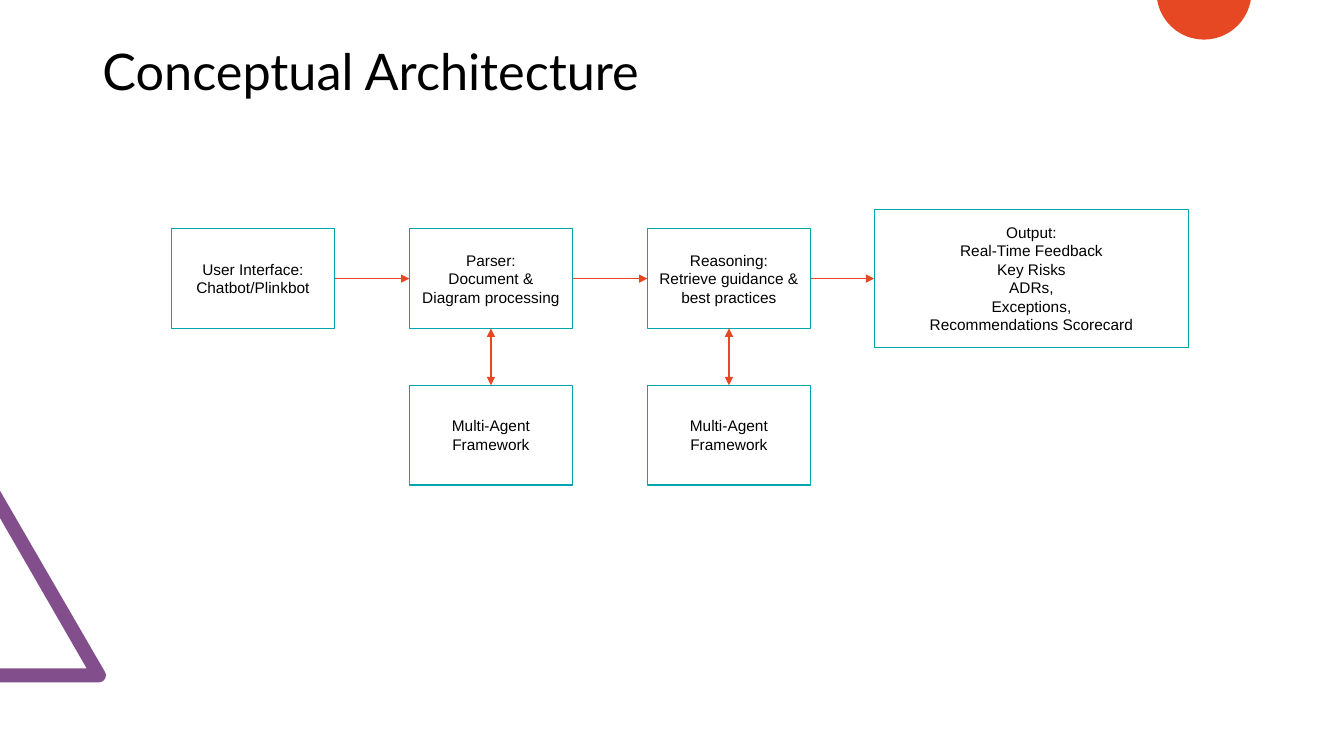
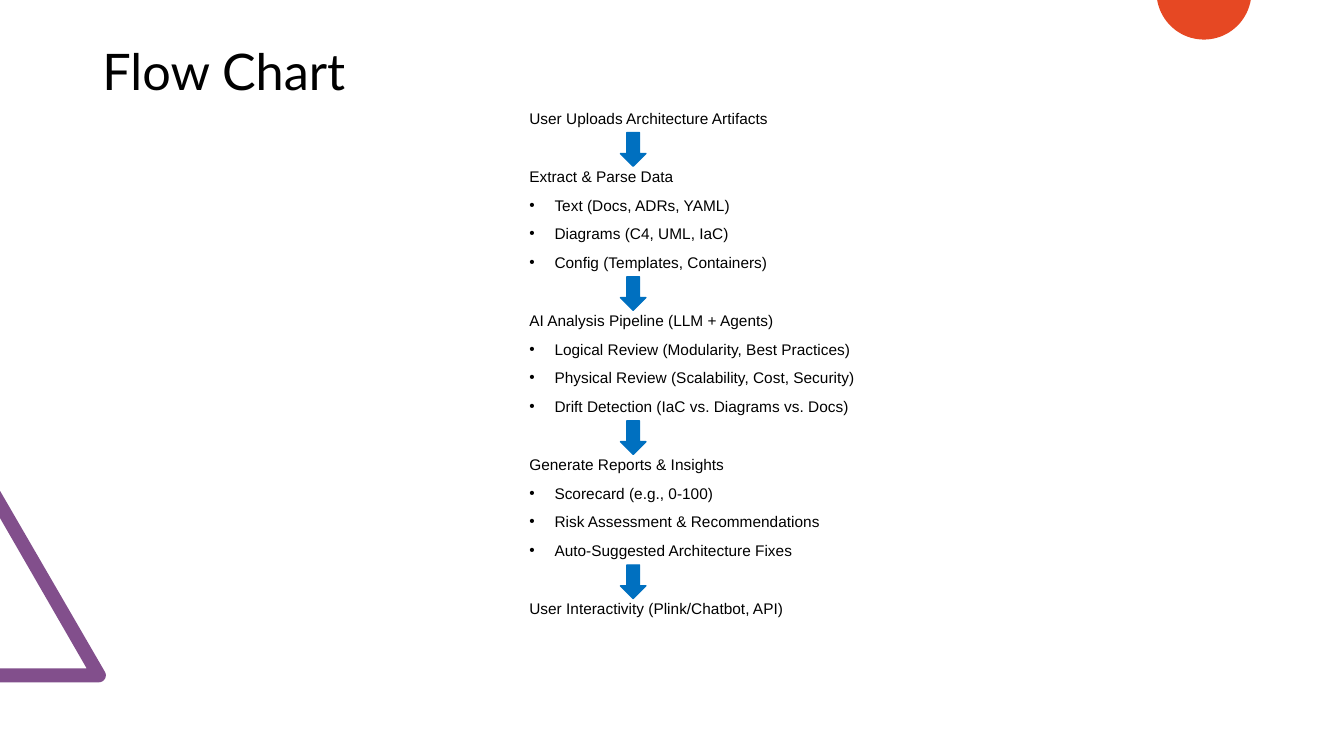
"""Build the architecture and flow slides of an AI review assistant."""
from math import cos, pi, sin
from lxml.etree import SubElement as Sub
from pptx import Presentation
from pptx.dml.color import RGBColor as RGB
from pptx.enum.shapes import MSO_CONNECTOR as Line, MSO_SHAPE as Shape
from pptx.enum.text import MSO_ANCHOR as Anchor, MSO_AUTO_SIZE as Fit, PP_ALIGN as Align
from pptx.oxml.ns import qn
from pptx.util import Pt

BLACK = RGB(0x00, 0x00, 0x00)
WHITE = RGB(0xFF, 0xFF, 0xFF)
TEAL = RGB(0x00, 0xA5, 0xAB)
ORANGE = RGB(0xE6, 0x48, 0x23)
PURPLE = RGB(0x82, 0x4F, 0x8C)
BLUE = RGB(0x00, 0x70, 0xC0)

STEPS = [
    "User Interface:\nChatbot/Plinkbot",
    "Parser:\nDocument & Diagram processing",
    "Reasoning:\nRetrieve guidance & best practices",
]
OUTPUT = ("Output:\nReal-Time Feedback\nKey Risks\nADRs,\nExceptions,\n"
          "Recommendations Scorecard")
AGENT = "Multi-Agent Framework"
FLOW = [
    ("User Uploads Architecture Artifacts", []),
    ("Extract & Parse Data", [
        "Text (Docs, ADRs, YAML)",
        "Diagrams (C4, UML, IaC)",
        "Config (Templates, Containers)"]),
    ("AI Analysis Pipeline (LLM + Agents)", [
        "Logical Review (Modularity, Best Practices)",
        "Physical Review (Scalability, Cost, Security)",
        "Drift Detection (IaC vs. Diagrams vs. Docs)"]),
    ("Generate Reports & Insights", [
        "Scorecard (e.g., 0-100)",
        "Risk Assessment & Recommendations",
        "Auto-Suggested Architecture Fixes"]),
    ("User Interactivity (Plink/Chatbot, API)", []),
]

BOX_W, BOX_H = 116.6, 71.2
BOX_X, BOX_Y, STEP = 122.4, 163.4, 170
LOW_Y = 275.2
OUT_X, OUT_W, OUT_H = 624.5, 224.6, 98.6
FLOW_X, FLOW_Y, INSET = 371, 77, 3.6
ROW_H, ITEM_GAP, STAGE_GAP = 10.6, 9.85, 31
ARROW_X, ARROW_W, ARROW_H = 443.2, 18.2, 24


def style(para, size=11, font="Arial", align=Align.LEFT):
    """Format a paragraph and its runs."""
    para.alignment = align
    for run in para.runs:
        run.font.size, run.font.name = Pt(size), font
        run.font.color.rgb = BLACK


def paint(shape, fill, line=None):
    """Set fill and outline, without shadow."""
    shape.shadow.inherit = False
    shape.fill.solid()
    shape.fill.fore_color.rgb = fill
    if line is None:
        shape.line.fill.background()
    else:
        shape.line.color.rgb, shape.line.width = line, Pt(1)


def arc(x, y, radius, start, end):
    """Return points on an arc, with angles in degrees."""
    turns = [pi / 180 * (start + (end - start) * i / 40) for i in range(41)]
    return [(x + radius * cos(t), y + radius * sin(t)) for t in turns]


def adorn(slide):
    """Put the corner shapes on the layout behind everything."""
    corner = [(0, 487.4), (0, 477.4), (61.9, 477.4), (0, 370.1), (0, 350.6)]
    corner += arc(70.6, 482.4, 5, -30, 90)
    disc = arc(860, -5.6, 33.9, 9.5, 170.5)
    tree = slide.slide_layout.shapes.element
    for i, (points, color) in enumerate([(corner, PURPLE), (disc, ORANGE)]):
        fine = [(x * 100, y * 100) for x, y in points]
        pen = slide.shapes.build_freeform(*fine[0], scale=Pt(0.01))
        pen.add_line_segments(fine[1:], close=True)
        shape = pen.convert_to_shape()
        paint(shape, color)
        shape.element.nvSpPr.cNvPr.set("id", str(20 + i))
        tree.insert(2 + i, shape.element)


def start(deck, title):
    """Add a slide with its title."""
    slide = deck.slides.add_slide(deck.slide_layouts[5])
    head = slide.shapes.title
    head.left, head.top, head.width, head.height = Pt(66), Pt(28.8), Pt(828), Pt(48.2)
    frame = head.text_frame
    frame.text = title
    frame.auto_size, frame.vertical_anchor = Fit.NONE, Anchor.MIDDLE
    frame.paragraphs[0].line_spacing = 0.9
    style(frame.paragraphs[0], 36, "Lato")
    return slide


def add_box(slide, text, x, y, w=BOX_W, h=BOX_H):
    """Add an outlined box with centred text."""
    box = slide.shapes.add_shape(Shape.RECTANGLE, Pt(x), Pt(y), Pt(w), Pt(h))
    paint(box, WHITE, TEAL)
    frame = box.text_frame
    frame.text, frame.word_wrap = text, True
    frame.vertical_anchor = Anchor.MIDDLE
    for para in frame.paragraphs:
        style(para, align=Align.CENTER)
    return box


def join(slide, first, out, last, into, ends):
    """Link two boxes with the given arrowheads."""
    link = slide.shapes.add_connector(Line.STRAIGHT, 0, 0, 0, 0)
    link.begin_connect(first, out)
    link.end_connect(last, into)
    link.line.color.rgb, link.line.width = ORANGE, Pt(1)
    edge = link.element.spPr.find(qn("a:ln"))
    for end in ends:
        Sub(edge, qn("a:" + end), type="triangle")
    Sub(link.element.spPr, qn("a:effectLst"))


def draw_map(slide):
    """Draw the boxes and links of the architecture."""
    row = [add_box(slide, text, BOX_X + i * STEP, BOX_Y)
           for i, text in enumerate(STEPS)]
    top = BOX_Y + (BOX_H - OUT_H) / 2
    row.append(add_box(slide, OUTPUT, OUT_X, top, OUT_W, OUT_H))
    for left, right in zip(row, row[1:]):
        join(slide, left, 3, right, 1, ["tailEnd"])
    for i in (1, 2):
        agent = add_box(slide, AGENT, BOX_X + i * STEP, LOW_Y)
        join(slide, row[i], 2, agent, 0, ["headEnd", "tailEnd"])


def draw_flow(slide):
    """Write the stages and centre an arrow in each gap between them."""
    frame = slide.shapes.add_textbox(
        Pt(FLOW_X), Pt(FLOW_Y), Pt(250.6), Pt(386)).text_frame
    frame.word_wrap = True
    lines = [(text, i > 0) for stage, items in FLOW
             for i, text in enumerate([stage, *items])]
    frame.text = "\n".join(text for text, _ in lines)
    for i, (para, (_, item)) in enumerate(zip(frame.paragraphs, lines)):
        style(para)
        para.line_spacing = 0.8
        para.space_before = Pt(ITEM_GAP if item else STAGE_GAP if i else 0)
        if item:
            props = para._p.get_or_add_pPr()
            props.set("marL", str(Pt(18)))
            props.set("indent", str(Pt(-18)))
            Sub(props, qn("a:buFont"), typeface="Arial")
            Sub(props, qn("a:buChar"), char="•")
    y = FLOW_Y + INSET
    for _, items in FLOW[:-1]:
        y += ROW_H + len(items) * (ITEM_GAP + ROW_H)
        top = y + (STAGE_GAP - ARROW_H) / 2
        arrow = slide.shapes.add_shape(
            Shape.DOWN_ARROW, Pt(ARROW_X), Pt(top), Pt(ARROW_W), Pt(ARROW_H))
        paint(arrow, BLUE, BLUE)
        y += STAGE_GAP


def main():
    """Build and save the deck."""
    deck = Presentation()
    deck.slide_width, deck.slide_height = Pt(960), Pt(540)
    first = start(deck, "Conceptual Architecture")
    adorn(first)
    draw_map(first)
    draw_flow(start(deck, "Flow Chart"))
    deck.save("out.pptx")


if __name__ == "__main__":
    main()
